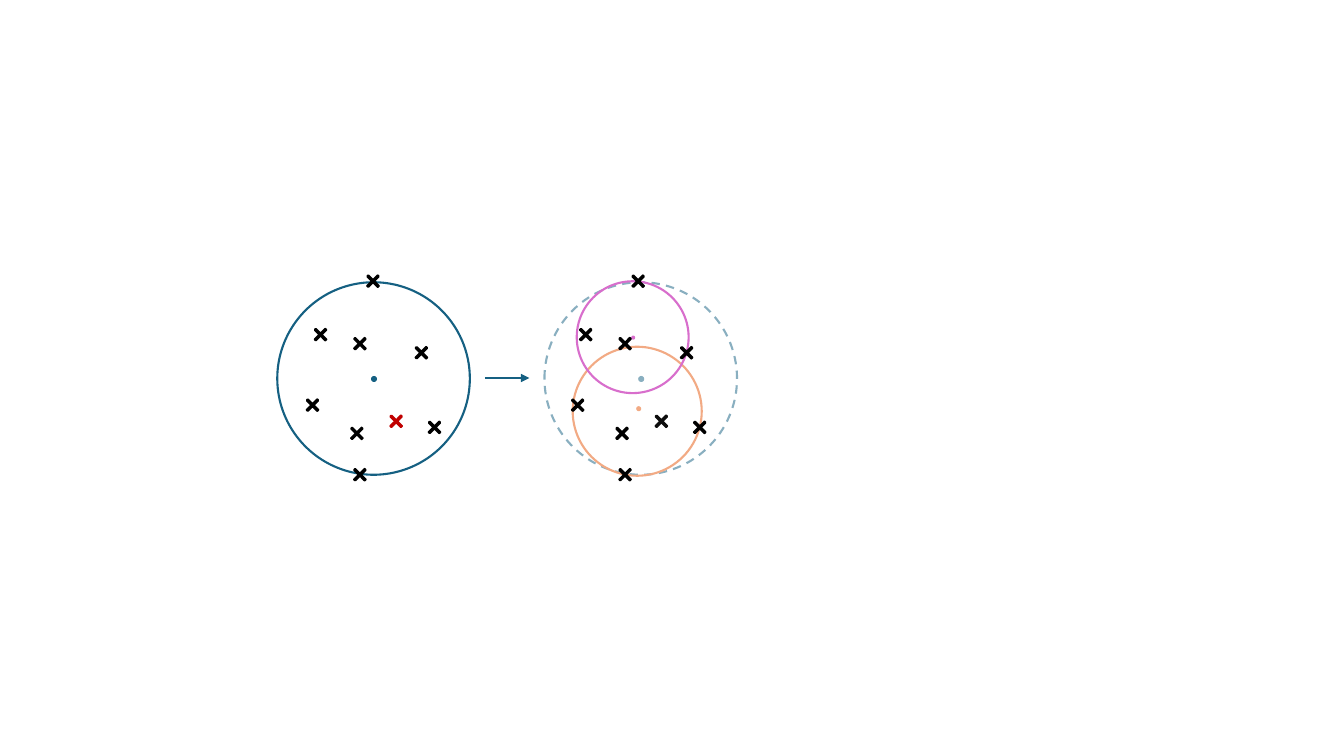
"""Draw one cluster of points being split into two smaller clusters."""
from lxml import etree
from pptx import Presentation
from pptx.dml.color import RGBColor
from pptx.enum import dml, shapes
from pptx.oxml import ns
from pptx.util import Inches, Pt

THEME = {
    "parent": "156082", "lower": "F2AA84", "upper": "D86ECC",
    "point_fill": "262626", "point_line": "000000",
    "removed_fill": "FF3300", "removed_line": "C00000",
    "kept_fill": "000000", "kept_line": "0D0D0D",
    "stroke": Pt(1.5), "point_opacity": 78, "faded_opacity": 50,
}
OVAL = shapes.MSO_SHAPE.OVAL
CROSS = shapes.MSO_SHAPE.MATH_MULTIPLY


def paint(format_part, owner, color, opacity=100):
    """Give a fill a solid colour with an opacity in percent."""
    format_part.solid()
    format_part.fore_color.rgb = RGBColor.from_string(THEME[color])
    if opacity < 100:
        rgb = owner.find(".//" + ns.qn("a:srgbClr"))
        etree.SubElement(rgb, ns.qn("a:alpha"), val=str(opacity * 1000))


def add_figure(group, preset, left, top, size, fill=None, line=None,
               fill_opacity=100, line_opacity=100, **line_format):
    """Add a square-framed shape to a group and format it."""
    figure = group.shapes.add_shape(
        preset, Inches(left), Inches(top), Inches(size), Inches(size))
    figure.shadow.inherit = False
    if fill:
        paint(figure.fill, figure._element.spPr, fill, fill_opacity)
    else:
        figure.fill.background()
    if line:
        paint(figure.line.fill, figure._element.spPr.find(ns.qn("a:ln")), line, line_opacity)
        for name, value in {"width": THEME["stroke"], **line_format}.items():
            setattr(figure.line, name, value)
    else:
        figure.line.fill.background()
    return figure


deck = Presentation()
deck.slide_width, deck.slide_height = Inches(13.33), Inches(7.5)
slide = deck.slides.add_slide(deck.slide_layouts[6])

split_clusters = slide.shapes.add_group_shape()
add_figure(split_clusters, OVAL, 5.4, 2.8, 1.91, line="parent",
           line_opacity=THEME["faded_opacity"], dash_style=dml.MSO_LINE.DASH)
add_figure(split_clusters, OVAL, 6.33, 3.73, 0.06, fill="parent",
           fill_opacity=THEME["faded_opacity"])
for cluster, left, top, diameter, center_left, center_top, center_size in (
    ("lower", 5.68, 3.44, 1.28, 6.31, 4.03, 0.05),
    ("upper", 5.72, 2.79, 1.11, 6.26, 3.33, 0.04),
):
    add_figure(split_clusters, OVAL, left, top, diameter, line=cluster)
    add_figure(split_clusters, OVAL, center_left, center_top, center_size, fill=cluster)

points = slide.shapes.add_group_shape()
add_figure(points, OVAL, 2.75, 2.8, 1.91, line="parent")
add_figure(points, OVAL, 3.68, 3.73, 0.06, fill="parent")

SPECIAL_POINT = (3.83, 4.08)
POINTS = (
    (4.21, 4.14), SPECIAL_POINT, (3, 3.92), (3.08, 3.22), (3.47, 3.31),
    (4.08, 3.4), (3.44, 4.2), (3.47, 4.61), (3.6, 2.69),
)
for shift, special in ((0, "removed"), (2.63, "kept")):
    for left, top in POINTS:
        role = special if (left, top) == SPECIAL_POINT else "point"
        cross = add_figure(points, CROSS, left + shift, top, 0.2,
                           fill=role + "_fill", line=role + "_line",
                           fill_opacity=THEME["point_opacity"])
        cross.adjustments[0] = 0.069

split_arrow = slide.shapes.add_connector(
    shapes.MSO_CONNECTOR.STRAIGHT, Inches(4.81), Inches(3.75), Inches(5.25), Inches(3.75))
split_arrow.line.width = THEME["stroke"]
split_arrow.line.color.rgb = RGBColor.from_string(THEME["parent"])
etree.SubElement(split_arrow.line._get_or_add_ln(), ns.qn("a:tailEnd"), type="triangle")
etree.SubElement(split_arrow._element.spPr, ns.qn("a:effectLst"))

deck.save("out.pptx")
